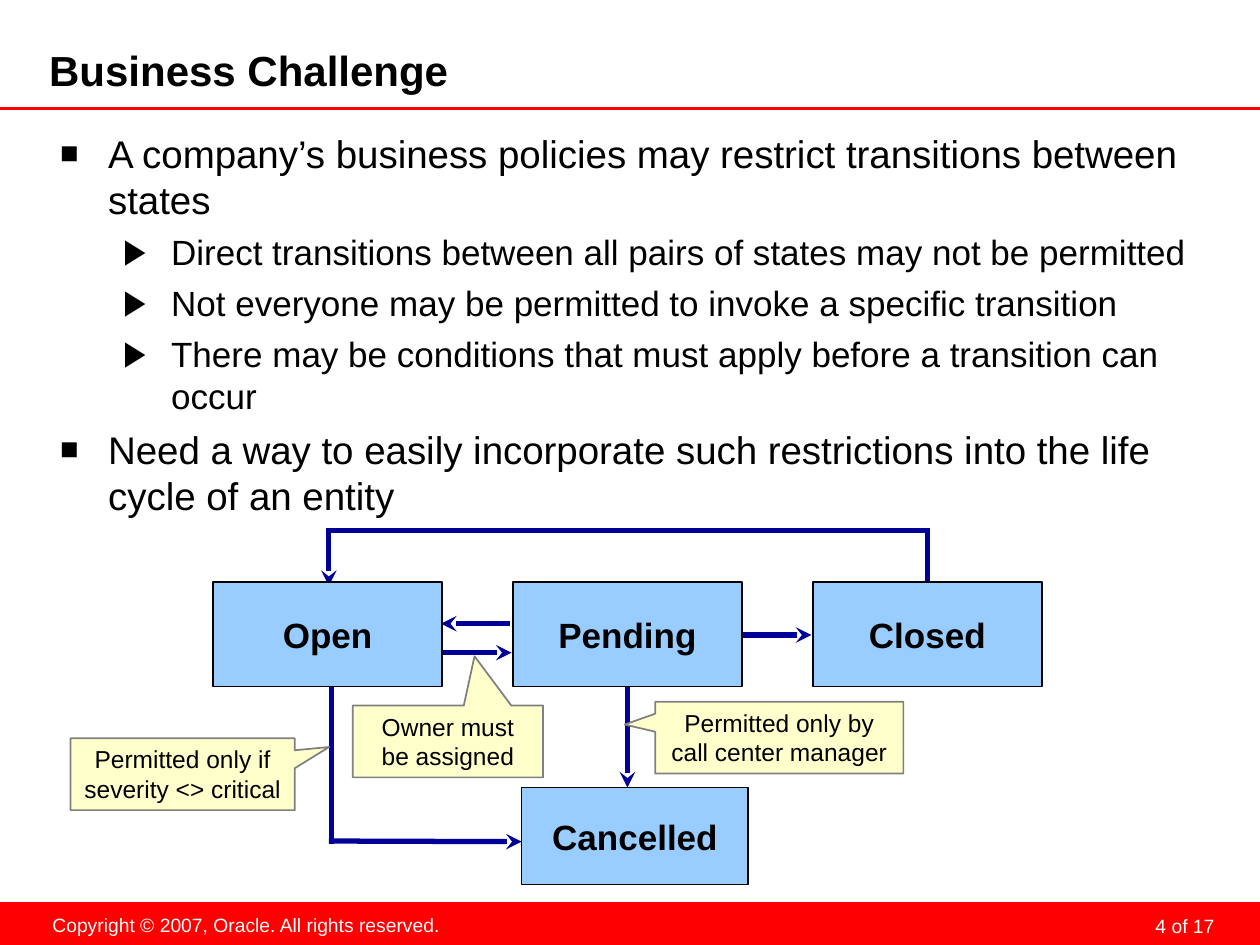
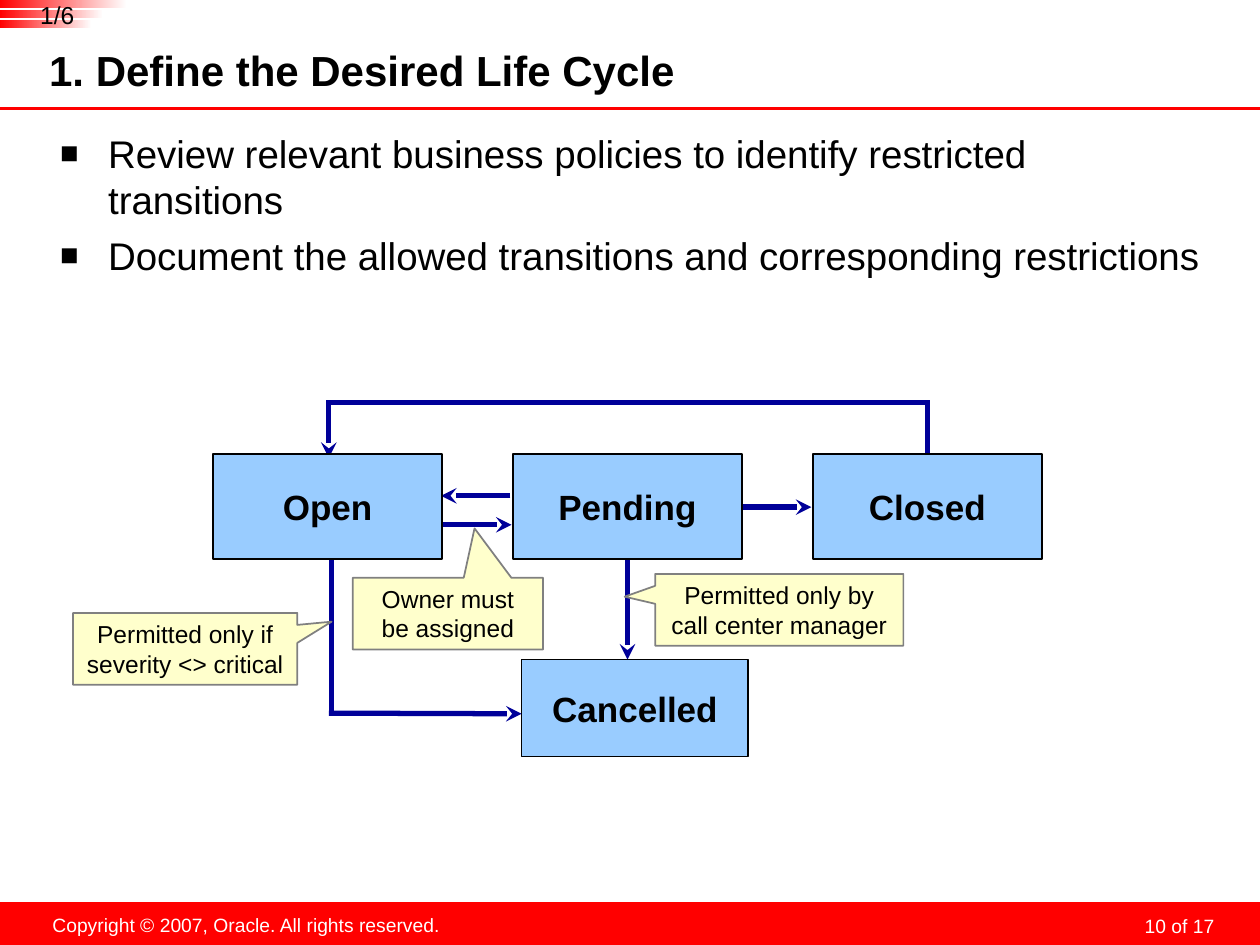
import pptx
import pptx.util
import pptx.dml.color
import pptx.enum.shapes
import pptx.enum.text
import pptx.oxml.ns
from lxml import etree

color = pptx.dml.color.RGBColor.from_string
qn = pptx.oxml.ns.qn
Pt = pptx.util.Pt
Inches = pptx.util.Inches
SHAPE = pptx.enum.shapes.MSO_SHAPE
ALIGN = pptx.enum.text.PP_ALIGN
ANCHOR = pptx.enum.text.MSO_ANCHOR
AUTO_SIZE = pptx.enum.text.MSO_AUTO_SIZE

RED, WHITE, BLACK = "FF0000", "FFFFFF", "000000"
NAVY, SKY, CREAM, GREY = "000099", "99CCFF", "FFFFCC", "808080"

presentation = pptx.Presentation()
presentation.slide_width = Inches(10)
presentation.slide_height = Inches(7.5)
column = row = presentation.slide_width / 100


def add_box(shapes, kind, cells, fill=None, outline=None):
    left, top, width, height = cells
    place = [round(size) for size in (left * column, top * row, width * column, height * row)]
    if kind is None:
        return shapes.add_textbox(*place)
    shape = shapes.add_shape(kind, *place)
    shape.shadow.inherit = False
    if fill:
        shape.fill.solid()
        shape.fill.fore_color.rgb = color(fill)
    if outline:
        shape.line.color.rgb = color(outline)
        shape.line.width = Pt(1)
    else:
        shape.line.fill.background()
    return shape


def write(shape, texts, size, ink=BLACK, bold=False, align=ALIGN.LEFT, margins=(0.1, 0.05, 0.1, 0.05),
          anchor=ANCHOR.TOP, wrap=True):
    frame = shape.text_frame
    frame_format = dict(zip(("margin_left", "margin_top", "margin_right", "margin_bottom"), map(Inches, margins)))
    frame_format.update(word_wrap=wrap, auto_size=AUTO_SIZE.NONE, vertical_anchor=anchor)
    for name, value in frame_format.items():
        setattr(frame, name, value)
    for index, text in enumerate(texts):
        paragraph = frame.add_paragraph() if index else frame.paragraphs[0]
        paragraph.alignment = align
        run = paragraph.add_run()
        run.text = text
        for name, value in {"name": "Arial", "size": Pt(size), "bold": bold}.items():
            setattr(run.font, name, value)
        run.font.color.rgb = color(ink)
    return frame.paragraphs


bullet_levels = [
    {"character": "■", "percent": "80000", "indent": 0.38, "size": 22, "before": 5.5},
    {"character": "▶", "percent": "100000", "indent": 0.88, "size": 20, "before": 5},
]

slides = [
    {
        "title": "Business Challenge",
        "page": "4 of 17",
        "bullets": [
            (0, "A company’s business policies may restrict transitions between states"),
            (1, "Direct transitions between all pairs of states may not be permitted"),
            (1, "Not everyone may be permitted to invoke a specific transition"),
            (1, "There may be conditions that must apply before a transition can occur"),
            (0, "Need a way to easily incorporate such restrictions into the life cycle of an entity"),
        ],
        "diagram_top": 46.2,
        "severity_nudge": 0,
        "step": None,
    },
    {
        "title": "1. Define the Desired Life Cycle",
        "page": "10 of 17",
        "bullets": [
            (0, "Review relevant business policies to identify restricted transitions"),
            (0, "Document the allowed transitions and corresponding restrictions"),
        ],
        "diagram_top": 36.05,
        "severity_nudge": 0.2,
        "step": "1/6",
    },
]

state_width, state_height, state_pitch = 18.2, 8.3, 23.8
states = [(name, 16.9 + index * state_pitch, 0, state_width, state_height)
          for index, name in enumerate(("Open", "Pending", "Closed"))]
states.append(("Cancelled", 41.4, 16.3, 18, 7.7))

transitions = [
    (26.1, -4.3, 26.1, 0.3, True),
    (26.1, -4.1, 73.6, -4.1, False),
    (73.6, -4.3, 73.6, 0, False),
    (58.9, 4.2, 64.4, 4.2, True),
    (49.8, 8, 49.8, 16.3, True),
    (26.3, 8.3, 26.3, 20.8, False),
    (26.1, 20.55, 41.4, 20.6, True),
    (35.1, 5.6, 40.6, 5.6, True),
    (40.5, 3.3, 35, 3.3, True),
]

restrictions = [
    ("Permitted only if severity <> critical", 5.6, 12.4, 17.8, (0.653, -0.378)),
    ("Permitted only by call center manager", 52, 9.5, 19.7, (-0.623, -0.183)),
    ("Owner must be assigned", 28, 9.8, 15.1, (0.14, -1.187)),
]

for content in slides:
    slide = presentation.slides.add_slide(presentation.slide_layouts[5])
    shapes = slide.shapes
    diagram_top = content["diagram_top"]

    title = shapes.title
    for name, value in {"left": 3.9, "top": 3.8, "width": 78.7, "height": 4}.items():
        setattr(title, name, round(value * column))
    write(title, [content["title"]], 24, bold=True, margins=(0, 0, 0.05, 0.05), anchor=ANCHOR.MIDDLE)

    add_box(shapes, SHAPE.RECTANGLE, (0, 71.6, 100, 3.4), RED)
    page = write(add_box(shapes, None, (73.6, 71.9, 23.3, 2.5)), [content["page"]], 11, WHITE,
                 align=ALIGN.RIGHT, margins=(0.05, 0, 0.05, 0))
    page[0].line_spacing = Pt(18)
    write(add_box(shapes, None, (3.1, 72, 32.9, 2.9)), ["Copyright © 2007, Oracle. All rights reserved."],
          11, WHITE, align=ALIGN.CENTER, wrap=False)

    body = add_box(shapes, None, (3.8, 9.3, 93, 61.8))
    paragraphs = write(body, [text for level, text in content["bullets"]], 22, margins=(0.1, 0.1, 0.1, 0.05))
    for index, (paragraph, (level, text)) in enumerate(zip(paragraphs, content["bullets"])):
        style = bullet_levels[level]
        paragraph.level = level
        properties = paragraph._p.get_or_add_pPr()
        properties.set("marL", str(Inches(style["indent"])))
        properties.set("indent", str(-Inches(0.38)))
        bullet_color = etree.SubElement(properties, qn("a:buClr"))
        etree.SubElement(bullet_color, qn("a:srgbClr"), val=BLACK)
        etree.SubElement(properties, qn("a:buSzPct"), val=style["percent"])
        etree.SubElement(properties, qn("a:buFont"), typeface="Arial")
        etree.SubElement(properties, qn("a:buChar"), char=style["character"])
        paragraph.runs[0].font.size = Pt(style["size"])
        if index:
            paragraph.space_before = Pt(style["before"])

    if content["step"]:
        badge = shapes.add_group_shape().shapes
        for index, width in enumerate((10.1, 8.2, 7.3)):
            stripe = add_box(badge, SHAPE.ROUNDED_RECTANGLE, (0, index * 0.8, width, 0.65))
            stripe.adjustments[0] = 0
            stripe.fill.gradient()
            stripe.fill.gradient_angle = 180
            for stop, shade in zip(stripe.fill.gradient_stops, (WHITE, RED)):
                stop.color.rgb = color(shade)
        write(add_box(badge, None, (2, 0, 5.1, 2.3)), [content["step"]], 14,
              align=ALIGN.CENTER, margins=(0, 0, 0, 0))

    rule = (0, 8.6, 100, 8.6, False)
    arrows = [(x1, diagram_top + y1, x2, diagram_top + y2, pointed) for x1, y1, x2, y2, pointed in transitions]
    for x1, y1, x2, y2, pointed in [rule] + arrows:
        connector = shapes.add_connector(pptx.enum.shapes.MSO_CONNECTOR.STRAIGHT, round(x1 * column),
                                         round(y1 * row), round(x2 * column), round(y2 * row))
        is_rule = (x1, y1) == rule[:2]
        connector.line.color.rgb = color(RED if is_rule else NAVY)
        connector.line.width = Pt(1.75 if is_rule else 3)
        properties = connector._element.spPr
        if pointed:
            etree.SubElement(properties.find(qn("a:ln")), qn("a:tailEnd"), type="stealth")
        etree.SubElement(properties, qn("a:effectLst"))

    for name, left, top, width, height in states:
        state = add_box(shapes, SHAPE.RECTANGLE, (left, diagram_top + top, width, height), SKY, BLACK)
        write(state, [name], 20, bold=True, align=ALIGN.CENTER, anchor=ANCHOR.MIDDLE, wrap=False)

    for index, (text, left, top, width, tip) in enumerate(restrictions):
        nudge = 0 if index else content["severity_nudge"]
        callout = add_box(shapes, SHAPE.RECTANGULAR_CALLOUT,
                          (left + nudge, diagram_top + top + nudge, width, 5.7), CREAM, GREY)
        callout.adjustments[0], callout.adjustments[1] = tip
        write(callout, [text], 14, align=ALIGN.CENTER)

presentation.save("out.pptx")
